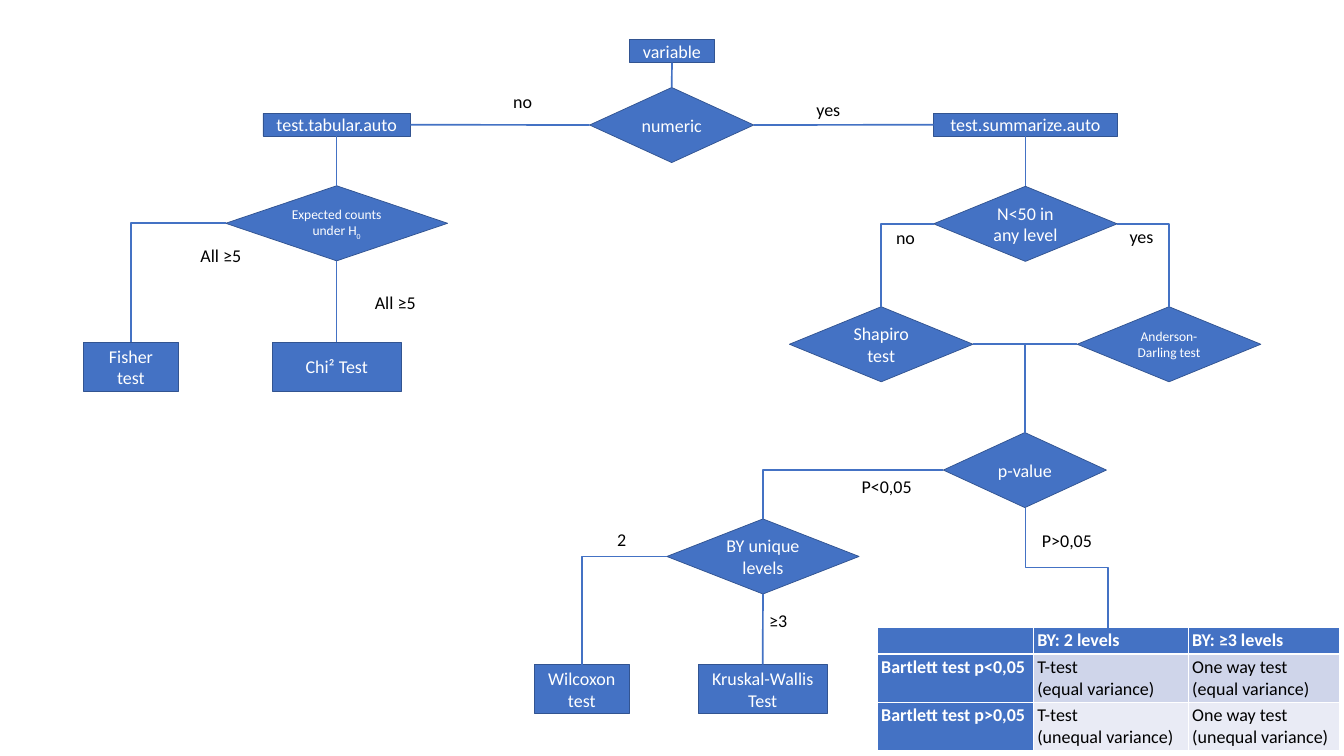
from dataclasses import dataclass
from lxml import etree
from pptx import Presentation
from pptx import util as u
from pptx.dml import color
from pptx.enum import shapes, text
from pptx.oxml import ns


@dataclass(frozen=True)
class Theme:
    font: str = "Calibri"
    blue: str = "4472C4"
    outline: str = "325491"
    white: str = "FFFFFF"
    black: str = "000000"
    bands: tuple = ("CFD5EA", "E9EBF5")
    body: int = 24
    small: int = 18
    edge: float = 2.25
    thin: float = 1
    thick: float = 3


RECT = shapes.MSO_SHAPE.RECTANGLE
DIAMOND = shapes.MSO_SHAPE.DIAMOND
STRAIGHT = shapes.MSO_CONNECTOR.STRAIGHT
ELBOW = shapes.MSO_CONNECTOR.ELBOW
TOP, LEFT, BOTTOM, RIGHT = range(4)
CENTER = text.PP_ALIGN.CENTER


def rgb(value):
    return color.RGBColor.from_string(value)


class Flowchart:
    def __init__(self, slide, theme):
        self.slide = slide
        self.theme = theme

    def add_run(self, paragraph, words, size, ink, bold=False):
        run = paragraph.add_run()
        run.text = words
        run.font.name = self.theme.font
        run.font.size = u.Pt(size)
        run.font.bold = bold
        run.font.color.rgb = rgb(ink)
        return run

    def node(self, kind, box, words, size=None, subscript=None):
        theme = self.theme
        size = size or theme.body
        shape = self.slide.shapes.add_shape(kind, *map(u.Inches, box))
        shape.shadow.inherit = False
        shape.fill.solid()
        shape.fill.fore_color.rgb = rgb(theme.blue)
        shape.line.color.rgb = rgb(theme.outline)
        shape.line.width = u.Pt(theme.thin)
        frame = shape.text_frame
        frame.word_wrap = True
        frame.vertical_anchor = text.MSO_ANCHOR.MIDDLE
        frame.margin_left = frame.margin_right = u.Inches(0.19)
        frame.margin_top = frame.margin_bottom = u.Inches(0.09)
        paragraph = frame.paragraphs[0]
        paragraph.alignment = CENTER
        self.add_run(paragraph, words, size, theme.white)
        if subscript:
            run = self.add_run(paragraph, subscript, size, theme.white)
            run.font._element.set("baseline", "-25000")
        return shape

    def label(self, words, left, top, width, wrap=True, align=CENTER):
        box = self.slide.shapes.add_textbox(*map(u.Inches, (left, top, width, 0.5)))
        frame = box.text_frame
        frame.word_wrap = wrap
        frame.auto_size = text.MSO_AUTO_SIZE.SHAPE_TO_FIT_TEXT
        paragraph = frame.paragraphs[0]
        paragraph.alignment = align
        self.add_run(paragraph, words, self.theme.body, self.theme.black)

    def line(self, kind, begin=(0, 0), end=(0, 0)):
        connector = self.slide.shapes.add_connector(kind, *map(u.Inches, (*begin, *end)))
        connector.line.color.rgb = rgb(self.theme.blue)
        connector.line.width = u.Pt(self.theme.edge)
        etree.SubElement(connector._element.spPr, ns.qn("a:effectLst"))
        return connector

    def link(self, source, source_site, target, target_site):
        corner = source_site in (LEFT, RIGHT) and target_site == TOP
        connector = self.line(ELBOW if corner else STRAIGHT)
        connector.begin_connect(source, source_site)
        connector.end_connect(target, target_site)
        if corner:
            connector._element.spPr.find(ns.qn("a:prstGeom")).set("prst", "bentConnector2")

    def step(self, begin, end):
        middle_x, middle_y = (begin[0] + end[0]) / 2, (begin[1] + end[1]) / 2
        half_x, half_y = (end[0] - begin[0]) / 2, (end[1] - begin[1]) / 2
        connector = self.line(ELBOW, (middle_x - half_y, middle_y + half_x),
                              (middle_x + half_y, middle_y - half_x))
        connector._element.spPr.find(ns.qn("a:xfrm")).set("rot", "5400000")

    def border(self, cell, sides):
        properties = cell._tc.get_or_add_tcPr()
        for index, (side, width) in enumerate(sides.items()):
            line = etree.Element(ns.qn(f"a:ln{side}"), w=str(u.Pt(width)))
            fill = etree.SubElement(line, ns.qn("a:solidFill"))
            etree.SubElement(fill, ns.qn("a:srgbClr"), val=self.theme.white)
            properties.insert(index, line)

    def table(self, left, top, widths, heights, rows):
        theme = self.theme
        frame = self.slide.shapes.add_table(
            len(rows), len(widths),
            *map(u.Inches, (left, top, sum(widths), sum(heights))))
        table = frame.table
        table.first_col = True
        for column, width in zip(table.columns, widths):
            column.width = u.Inches(width)
        for r, (height, values) in enumerate(zip(heights, rows)):
            table.rows[r].height = u.Inches(height)
            for c, value in enumerate(values):
                cell = table.cell(r, c)
                heading = r == 0 or c == 0
                cell.margin_left = cell.margin_right = u.Inches(0.08)
                cell.margin_top = cell.margin_bottom = u.Inches(0.04)
                cell.fill.solid()
                cell.fill.fore_color.rgb = rgb(theme.blue if heading else theme.bands[r - 1])
                self.border(cell, {"L": theme.thin, "R": theme.thin,
                                   "T": theme.thick if r == 1 else theme.thin,
                                   "B": theme.thick if r == 0 else theme.thin})
                if not value:
                    continue
                for i, words in enumerate(value.split("\n")):
                    paragraph = (cell.text_frame.add_paragraph() if i
                                 else cell.text_frame.paragraphs[0])
                    self.add_run(paragraph, words, theme.body,
                                 theme.white if heading else theme.black, heading)


presentation = Presentation()
presentation.slide_width = u.Inches(24.89)
presentation.slide_height = u.Inches(14)
theme = Theme()
chart = Flowchart(presentation.slides.add_slide(presentation.slide_layouts[6]), theme)

variable = chart.node(RECT, (11.66, 0.73, 1.57, 0.43), "variable")
tabular = chart.node(RECT, (4.87, 2.1, 2.73, 0.42), "test.tabular.auto")
summarize = chart.node(RECT, (17.29, 2.1, 3.4, 0.42), "test.summarize.auto")
numeric = chart.node(DIAMOND, (10.92, 1.62, 3.04, 1.39), "numeric")
by_levels = chart.node(DIAMOND, (12.35, 9.61, 3.56, 1.39), "BY unique levels")
sample_size = chart.node(DIAMOND, (17.29, 3.45, 3.4, 1.39), "N<50 in any level")
shapiro = chart.node(DIAMOND, (14.62, 5.68, 3.4, 1.39), "Shapiro test")
anderson = chart.node(DIAMOND, (19.95, 5.68, 3.4, 1.39), "Anderson-Darling test", theme.small)
p_value = chart.node(DIAMOND, (17.47, 8.01, 3.02, 1.39), "p-value")
wilcoxon = chart.node(RECT, (9.89, 12.31, 1.77, 0.9), "Wilcoxon test")
kruskal = chart.node(RECT, (12.93, 12.31, 2.39, 0.9), "Kruskal-Wallis Test")
expected = chart.node(DIAMOND, (4.18, 3.44, 4.11, 1.39), "Expected counts under H",
                      theme.small, "0")
fisher = chart.node(RECT, (1.54, 6.34, 1.77, 0.9), "Fisher test")
chi_square = chart.node(RECT, (5.04, 6.34, 2.39, 0.9), "Chi² Test")

chart.table(16.24, 11.62, (2.89, 2.87, 2.8), (0.49, 0.89, 0.89), (
    ("", "BY: 2 levels", "BY: ≥3 levels"),
    ("Bartlett test p<0,05", "T-test\n(equal variance)", "One way test\n(equal variance)"),
    ("Bartlett test p>0,05", "T-test\n(unequal variance)", "One way test\n(unequal variance)"),
))

for link in (
    (variable, BOTTOM, numeric, TOP),
    (numeric, RIGHT, summarize, LEFT),
    (numeric, LEFT, tabular, RIGHT),
    (summarize, BOTTOM, sample_size, TOP),
    (sample_size, LEFT, shapiro, TOP),
    (sample_size, RIGHT, anderson, TOP),
    (shapiro, RIGHT, p_value, TOP),
    (anderson, LEFT, p_value, TOP),
    (p_value, LEFT, by_levels, TOP),
    (by_levels, LEFT, wilcoxon, TOP),
    (by_levels, BOTTOM, kruskal, TOP),
    (tabular, BOTTOM, expected, TOP),
    (expected, LEFT, fisher, TOP),
    (expected, BOTTOM, chi_square, TOP),
):
    chart.link(*link)
chart.step((18.99, 9.4), (20.52, 11.62))

for label in (
    ("no", 9.4, 1.62, 0.56, False),
    ("yes", 14.82, 1.78, 1.04),
    ("2", 11.33, 9.73, 0.66, True, text.PP_ALIGN.LEFT),
    ("≥3", 14.14, 11.24, 0.54, False),
    ("no", 16.49, 4.15, 0.56),
    ("yes", 20.62, 4.13, 1.04),
    ("P<0,05", 15.62, 8.75, 1.6),
    ("P>0,05", 18.96, 9.75, 1.6),
    ("All ≥5", 6.84, 5.34, 0.96, False),
    ("All ≥5", 3.61, 4.47, 0.96, False),
):
    chart.label(*label)

presentation.save("out.pptx")
